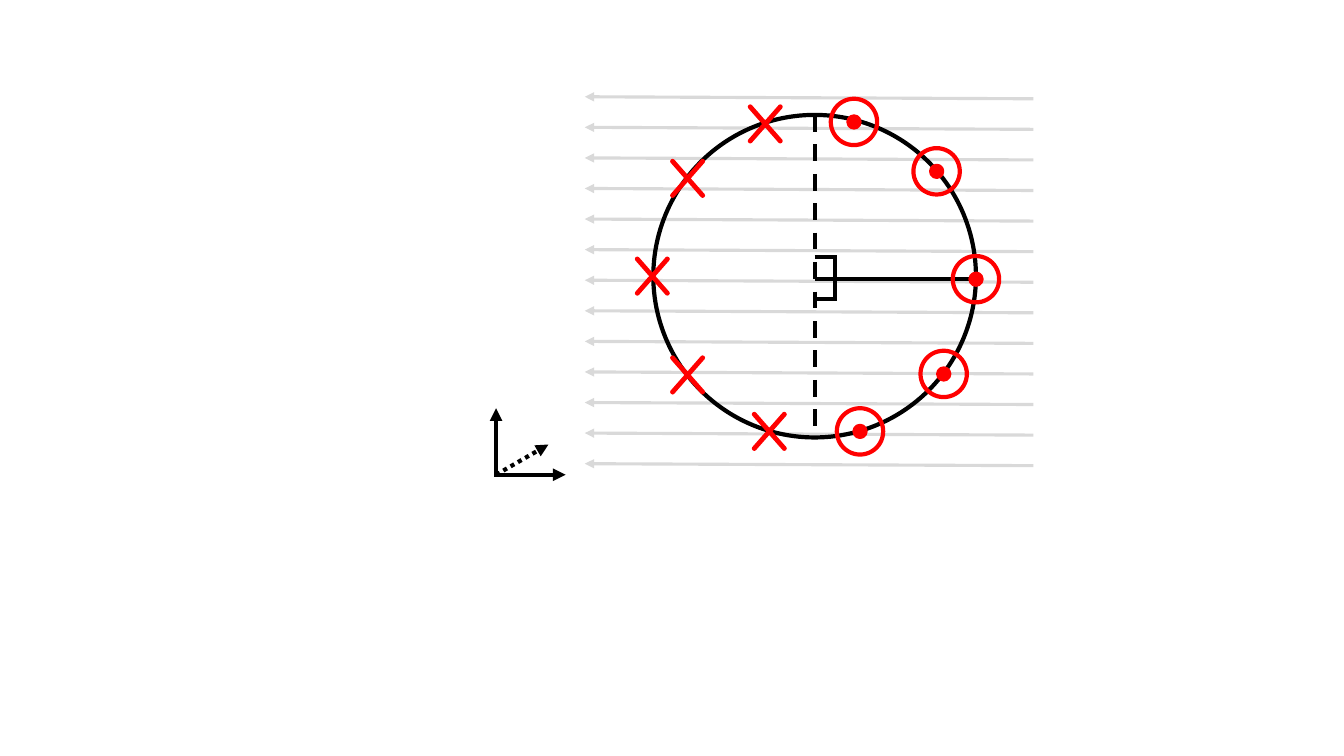
from dataclasses import dataclass

from lxml.etree import SubElement
from pptx import Presentation
from pptx.dml.color import RGBColor
from pptx.enum.dml import MSO_LINE
from pptx.enum.shapes import MSO_CONNECTOR, MSO_SHAPE
from pptx.oxml.ns import qn
from pptx.shapes.base import BaseShape
from pptx.shapes.shapetree import GroupShapes
from pptx.util import Inches, Length, Pt

BLACK, RED, GREY = "000000", "FF0000", "D9D9D9"

# All positions and sizes are in grid cells of a tenth of an inch.
CENTRE_X, CENTRE_Y, DIAMETER = 80.8, 27.4, 32
RADIUS_Y = 27.7
CORNER_X, CORNER = 82.8, 2.2
RING, DOT = 4.6, 1.1
CROSS_WIDTH, CROSS_HEIGHT = 5.8, 6.6
FIELD_LINES, FIELD_TOP, FIELD_BOTTOM = 13, 9.6, 46
FIELD_LEFT, FIELD_RIGHT, FIELD_DROP = 58, 102.5, 0.2


@dataclass(frozen=True)
class Segment:
    x1: float
    y1: float
    x2: float
    y2: float
    color: str = BLACK
    width: float = 3
    dash: MSO_LINE | None = None
    arrow: bool = False


@dataclass(frozen=True)
class Mark:
    x: float
    y: float


CURRENT_OUT = [Mark(85.3, 42.8), Mark(93.6, 37.1), Mark(96.8, 27.7),
               Mark(92.9, 17), Mark(84.7, 12.1)]
CURRENT_IN = [Mark(68.2, 17.7), Mark(64.7, 27.4), Mark(68.2, 37.2),
              Mark(76.3, 42.8), Mark(75.9, 12.3)]

FIELD_GAP = (FIELD_BOTTOM - FIELD_TOP) / (FIELD_LINES - 1)
FIELD = [Segment(FIELD_RIGHT, y + FIELD_DROP, FIELD_LEFT, y, GREY, 2.25, arrow=True)
         for y in (FIELD_TOP + i * FIELD_GAP for i in range(FIELD_LINES))]
RADIUS = Segment(CENTRE_X + DIAMETER / 2, RADIUS_Y, CENTRE_X, RADIUS_Y)
VERTICAL = Segment(CENTRE_X, CENTRE_Y - DIAMETER / 2,
                   CENTRE_X, CENTRE_Y + DIAMETER / 2, dash=MSO_LINE.DASH)
RIGHT_ANGLE = [
    Segment(CORNER_X, RADIUS_Y, CORNER_X, 29.9),
    Segment(CORNER_X + 0.2, 29.7, CENTRE_X, 29.7),
    Segment(CENTRE_X, 25.5, CORNER_X + 0.2, 25.5),
    Segment(CORNER_X, 25.3, CORNER_X, 25.3 + CORNER),
]
AXES = [
    Segment(49.2, 47.2, 49.2, 40.5, arrow=True),
    Segment(49, 47.1, 56.1, 47.1, arrow=True),
    Segment(49.2, 47.1, 54.4, 44.1, dash=MSO_LINE.ROUND_DOT, arrow=True),
]


def cells(n: float) -> Length:
    return Inches(n / 10)


def rgb(color: str) -> RGBColor:
    return RGBColor.from_string(color)


def draw_segment(shapes: GroupShapes, seg: Segment) -> None:
    ends = (cells(v) for v in (seg.x1, seg.y1, seg.x2, seg.y2))
    cxn = shapes.add_connector(MSO_CONNECTOR.STRAIGHT, *ends)
    cxn.line.color.rgb = rgb(seg.color)
    for name, value in {"width": Pt(seg.width), "dash_style": seg.dash}.items():
        setattr(cxn.line, name, value)
    sp_pr = cxn._element.spPr
    if seg.arrow:
        SubElement(sp_pr.find(qn("a:ln")), qn("a:tailEnd"), type="triangle")
    SubElement(sp_pr, qn("a:effectLst"))


def draw_centred(shapes: GroupShapes, kind: MSO_SHAPE, mark: Mark, width: float,
                 height: float, line: str, fill: str | None = None) -> BaseShape:
    """Draw a preset shape centred on the mark; without a fill colour it is hollow."""
    sp = shapes.add_shape(kind, cells(mark.x - width / 2), cells(mark.y - height / 2),
                          cells(width), cells(height))
    sp.shadow.inherit = False
    sp.line.color.rgb = rgb(line)
    sp.line.width = Pt(3)
    if fill:
        sp.fill.solid()
        sp.fill.fore_color.rgb = rgb(fill)
    else:
        sp.fill.background()
    return sp


def draw_current_out(shapes: GroupShapes, mark: Mark) -> None:
    for size, fill in ((RING, None), (DOT, RED)):
        draw_centred(shapes, MSO_SHAPE.OVAL, mark, size, size, RED, fill)


def draw_current_in(shapes: GroupShapes, mark: Mark) -> None:
    sp = draw_centred(shapes, MSO_SHAPE.MATH_MULTIPLY, mark,
                      CROSS_WIDTH, CROSS_HEIGHT, RED, BLACK)
    sp.adjustments[0] = 0.01


def main() -> None:
    prs = Presentation()
    prs.slide_width, prs.slide_height = Inches(13.33), Inches(7.5)
    s = prs.slides.add_slide(prs.slide_layouts.get_by_name("Blank"))

    coil = s.shapes.add_group_shape().shapes
    for seg in [*FIELD, RADIUS]:
        draw_segment(coil, seg)
    draw_centred(coil, MSO_SHAPE.OVAL, Mark(CENTRE_X, CENTRE_Y),
                 DIAMETER, DIAMETER, BLACK)
    draw_segment(coil, VERTICAL)
    for mark in CURRENT_IN:
        draw_current_in(coil, mark)
    for mark in CURRENT_OUT:
        draw_current_out(coil, mark)
    for seg in RIGHT_ANGLE:
        draw_segment(coil, seg)

    axes = s.shapes.add_group_shape().shapes
    for seg in AXES:
        draw_segment(axes, seg)

    prs.save("out.pptx")


if __name__ == "__main__":
    main()
